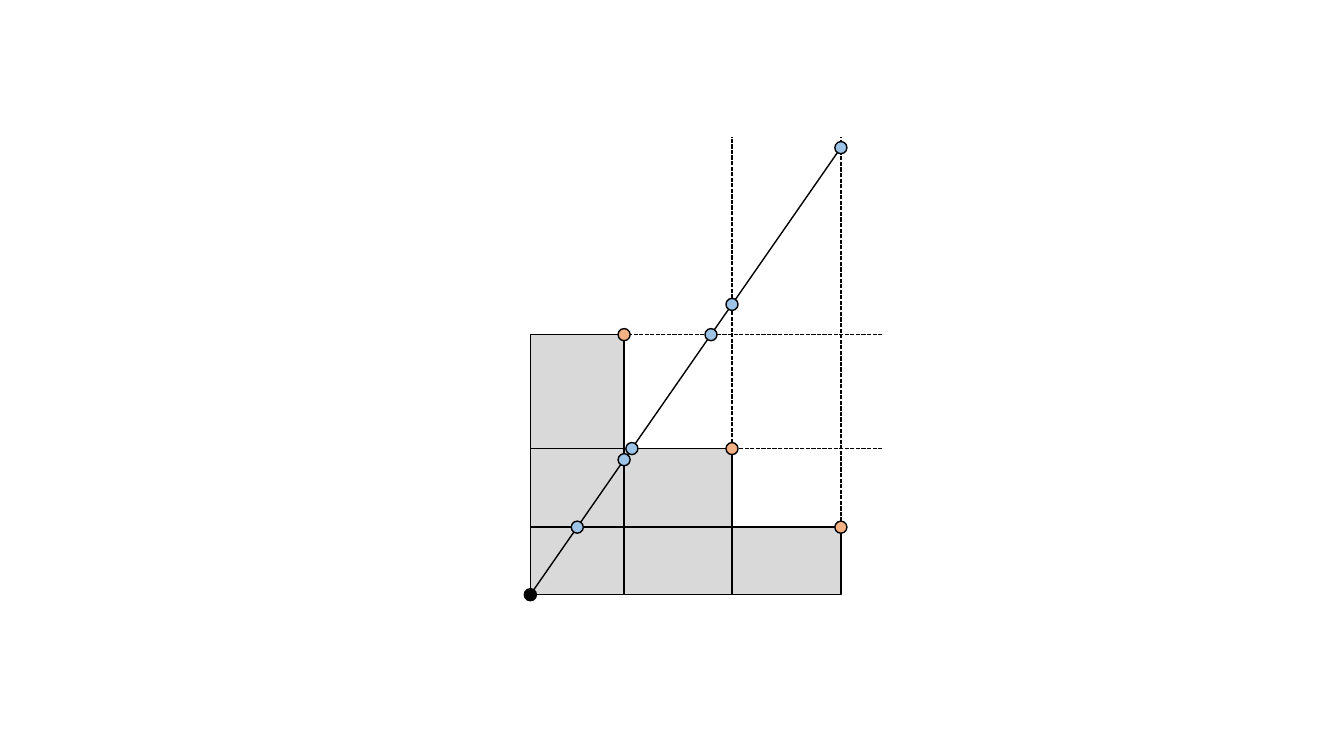
from dataclasses import dataclass

from lxml import etree
from pptx import Presentation
from pptx.dml.color import RGBColor
from pptx.enum.dml import MSO_LINE
from pptx.enum.shapes import MSO_CONNECTOR, MSO_SHAPE as Shape
from pptx.oxml.ns import qn
from pptx.util import Inches, Pt


@dataclass(frozen=True)
class Theme:
    ink: RGBColor = RGBColor(0x00, 0x00, 0x00)
    region: RGBColor = RGBColor(0xD9, 0xD9, 0xD9)
    corner: RGBColor = RGBColor(0xF4, 0xB1, 0x83)
    crossing: RGBColor = RGBColor(0x9D, 0xC3, 0xE6)
    stroke: Pt = Pt(1)


THEME = Theme()
DOT = 0.12
SLOPE = 1.44
TALL, MIDDLE, WIDE = (0.93, 2.58), (2, 1.45), (3.08, 0.67)
CORNERS = (TALL, MIDDLE, WIDE)


@dataclass(frozen=True)
class Plot:
    """A box whose points are measured right and up from its bottom left."""
    page: object
    left: float
    top: float
    width: float
    height: float

    def place(self, x, y):
        return Inches(self.left + x), Inches(self.top + self.height - y)

    def shape(self, kind, x, y, width, height, fill):
        """Add a shape whose upper left corner is at x, y."""
        shape = self.page.shapes.add_shape(
            kind, *self.place(x, y), Inches(width), Inches(height))
        shape.shadow.inherit = False
        shape.fill.solid()
        shape.fill.fore_color.rgb = fill
        shape.line.color.rgb = THEME.ink
        shape.line.width = THEME.stroke

    def dot(self, x, y, fill):
        self.shape(Shape.OVAL, x - DOT / 2, y + DOT / 2, DOT, DOT, fill)

    def line(self, start, end, dashed=False):
        line = self.page.shapes.add_connector(
            MSO_CONNECTOR.STRAIGHT, *self.place(*start), *self.place(*end))
        line.line.color.rgb = THEME.ink
        line.line.width = THEME.stroke
        if dashed:
            line.line.dash_style = MSO_LINE.SQUARE_DOT
        etree.SubElement(line._element.spPr, qn("a:effectLst"))


def draw_regions(plot):
    for width, height in (MIDDLE, TALL, WIDE):
        plot.shape(Shape.RECTANGLE, 0, height, width, height, THEME.region)


def draw_lines(plot):
    for x, y in (WIDE, MIDDLE):
        plot.line((x, y), (x, plot.height), dashed=True)
    for x, y in (TALL, MIDDLE):
        plot.line((plot.width, y), (x, y), dashed=True)
    plot.line((0, 0), (WIDE[0], SLOPE * WIDE[0]))
    plot.line((0, MIDDLE[1]), (MIDDLE[1] / SLOPE, MIDDLE[1]))
    for x in (TALL[0], MIDDLE[0]):
        plot.line((x, WIDE[1]), (x, 0))


def draw_dots(plot):
    """Mark the origin, the region corners and where the ray meets their edges."""
    plot.dot(0, 0, THEME.ink)
    for x, y in CORNERS:
        plot.dot(x, y, THEME.corner)
    for x, y in CORNERS:
        plot.dot(x, SLOPE * x, THEME.crossing)
        plot.dot(y / SLOPE, y, THEME.crossing)


def main():
    deck = Presentation()
    deck.slide_width, deck.slide_height = Inches(13.33), Inches(7.5)
    page = deck.slides.add_slide(deck.slide_layouts[6])
    plot = Plot(page, left=5.26, top=1.36, width=3.49, height=4.54)
    draw_regions(plot)
    draw_lines(plot)
    draw_dots(plot)
    deck.save("out.pptx")


if __name__ == "__main__":
    main()
